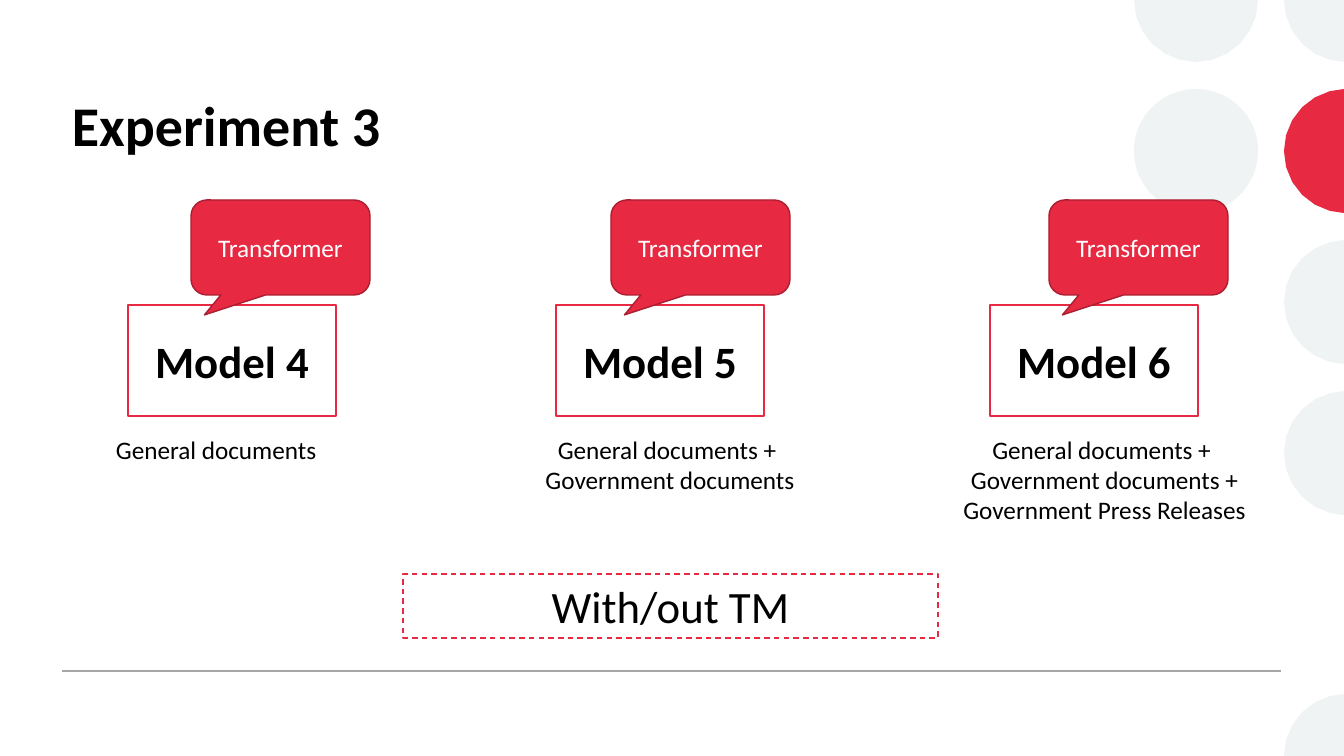
from dataclasses import dataclass
from math import cos, radians, sin

from lxml.etree import SubElement
from pptx import Presentation
from pptx.dml.color import RGBColor
from pptx.enum.dml import MSO_LINE
from pptx.enum.shapes import MSO_CONNECTOR, MSO_SHAPE
from pptx.enum.text import MSO_ANCHOR, PP_ALIGN
from pptx.oxml.ns import qn
from pptx.util import Emu, Pt

SLIDE_W, SLIDE_H = 1344, 756
PX_PER_INCH = 100.8


@dataclass(frozen=True)
class Theme:
    font: str = "Calibri"
    ink: str = "000000"
    paper: str = "FFFFFF"
    accent: str = "E72942"
    accent_edge: str = "AB1E31"
    pale: str = "F0F3F3"
    rule: str = "A6A6A6"
    title_size: int = 40
    label_size: int = 32
    body_size: int = 18
    line_width: int = 1


THEME = Theme()


def px(length):
    return Emu(round(length * 914400 / PX_PER_INCH))


def rgb(value):
    return RGBColor.from_string(value)


def write(shape, text, size, color=THEME.ink, bold=False,
          align=PP_ALIGN.CENTER, anchor=MSO_ANCHOR.MIDDLE):
    frame = shape.text_frame
    frame.text = text
    frame.word_wrap = True
    frame.vertical_anchor = anchor
    for paragraph in frame.paragraphs:
        paragraph.alignment = align
        for run in paragraph.runs:
            run.font.name = THEME.font
            run.font.size = Pt(size)
            run.font.bold = bold
            run.font.color.rgb = rgb(color)


def paint(shape, fill, edge=None):
    shape.shadow.inherit = False
    shape.fill.solid()
    shape.fill.fore_color.rgb = rgb(fill)
    if edge:
        shape.line.color.rgb = rgb(edge)
        shape.line.width = Pt(THEME.line_width)
    else:
        shape.line.fill.background()


def add_box(slide, kind, box, fill, edge=None):
    shape = slide.shapes.add_shape(kind, *map(px, box))
    paint(shape, fill, edge)
    return shape


def add_text(slide, box, text, size, **style):
    text_box = slide.shapes.add_textbox(*map(px, box))
    write(text_box, text, size, anchor=MSO_ANCHOR.TOP, **style)


def add_cut_dot(slide, center, radius, arc, color, corners=()):
    """Draw the part of a dot inside the slide: an arc closed along the edges."""
    center_x, center_y = center
    first, last = arc
    outline = list(corners)
    for degrees in range(first, last + 1, 15):
        x = center_x + radius * cos(radians(degrees))
        y = center_y + radius * sin(radians(degrees))
        outline.append((min(x, SLIDE_W), min(max(y, 0), SLIDE_H)))
    points = [(px(x), px(y)) for x, y in outline]
    builder = slide.shapes.build_freeform(*points[0])
    builder.add_line_segments(points[1:], close=True)
    paint(builder.convert_to_shape(), color)


def add_dot_pattern(slide, left, right, pitch, radius):
    """Place two columns of dots, centered at left and right, one pitch apart."""
    add_box(slide, MSO_SHAPE.OVAL,
            (left - radius, pitch - radius, 2 * radius, 2 * radius), THEME.pale)
    add_cut_dot(slide, (left, 0), radius, (0, 180), THEME.pale)
    add_cut_dot(slide, (right, 0), radius, (90, 180), THEME.pale,
                [(SLIDE_W, 0)])
    for row, color in enumerate((THEME.accent, THEME.pale, THEME.pale), 1):
        add_cut_dot(slide, (right, row * pitch), radius, (90, 270), color)
    add_cut_dot(slide, (right, SLIDE_H), radius, (180, 270), THEME.pale,
                [(SLIDE_W, SLIDE_H)])


def add_footer_rule(slide, left, right, y):
    rule = slide.shapes.add_connector(
        MSO_CONNECTOR.STRAIGHT, px(left), px(y), px(right), px(y))
    rule.line.color.rgb = rgb(THEME.rule)
    rule.line.width = Pt(THEME.line_width)
    SubElement(rule._element.spPr, qn("a:effectLst"))


def add_model(slide, box, name, callout_shift, sources, source_span, align):
    """Draw a model box with its callout above and its training data below."""
    left, top, _, _ = box
    model = add_box(slide, MSO_SHAPE.RECTANGLE, box, THEME.paper, THEME.accent)
    write(model, name, THEME.label_size, bold=True)

    architecture = add_box(slide, MSO_SHAPE.ROUNDED_RECTANGULAR_CALLOUT,
                           (left + callout_shift, top - 105, 179, 95),
                           THEME.accent, THEME.accent_edge)
    for index, value in enumerate((-0.425, 0.71, 0.167)):
        architecture.adjustments[index] = value
    write(architecture, "Transformer", THEME.body_size, THEME.paper)

    shift, width = source_span
    height = 10 + 31 * len(sources)
    add_text(slide, (left + shift, top + 124, width, height),
             "\n".join(sources), THEME.body_size, align=align)


def add_models(slide, top):
    general, government = "General documents", "Government documents"
    models = [
        (128, "Model 4", 63, [general], (-22, 252), PP_ALIGN.LEFT),
        (556, "Model 5", 55, [general + " + ", government],
         (-38, 304), PP_ALIGN.CENTER),
        (990, "Model 6", 59,
         [general + " + ", government + " +", "Government Press Releases"],
         (-63, 355), PP_ALIGN.CENTER),
    ]
    for left, *details in models:
        add_model(slide, (left, top, 208, 111), *details)


def add_memory_note(slide, box):
    note = add_box(slide, MSO_SHAPE.RECTANGLE, box, THEME.paper, THEME.accent)
    note.line.dash_style = MSO_LINE.DASH
    write(note, "With/out TM", THEME.label_size)


def build_experiment_slide(deck):
    slide = deck.slides.add_slide(deck.slide_layouts[6])
    add_dot_pattern(slide, left=1196, right=1346, pitch=151, radius=62)
    add_footer_rule(slide, left=62, right=1281, y=671)
    add_text(slide, (62, 86, 808, 140), "Experiment 3", THEME.title_size,
             bold=True, align=PP_ALIGN.LEFT)
    add_models(slide, top=305)
    add_memory_note(slide, (403, 574, 535, 64))


def main():
    deck = Presentation()
    deck.slide_width, deck.slide_height = px(SLIDE_W), px(SLIDE_H)
    build_experiment_slide(deck)
    deck.save("out.pptx")


if __name__ == "__main__":
    main()
